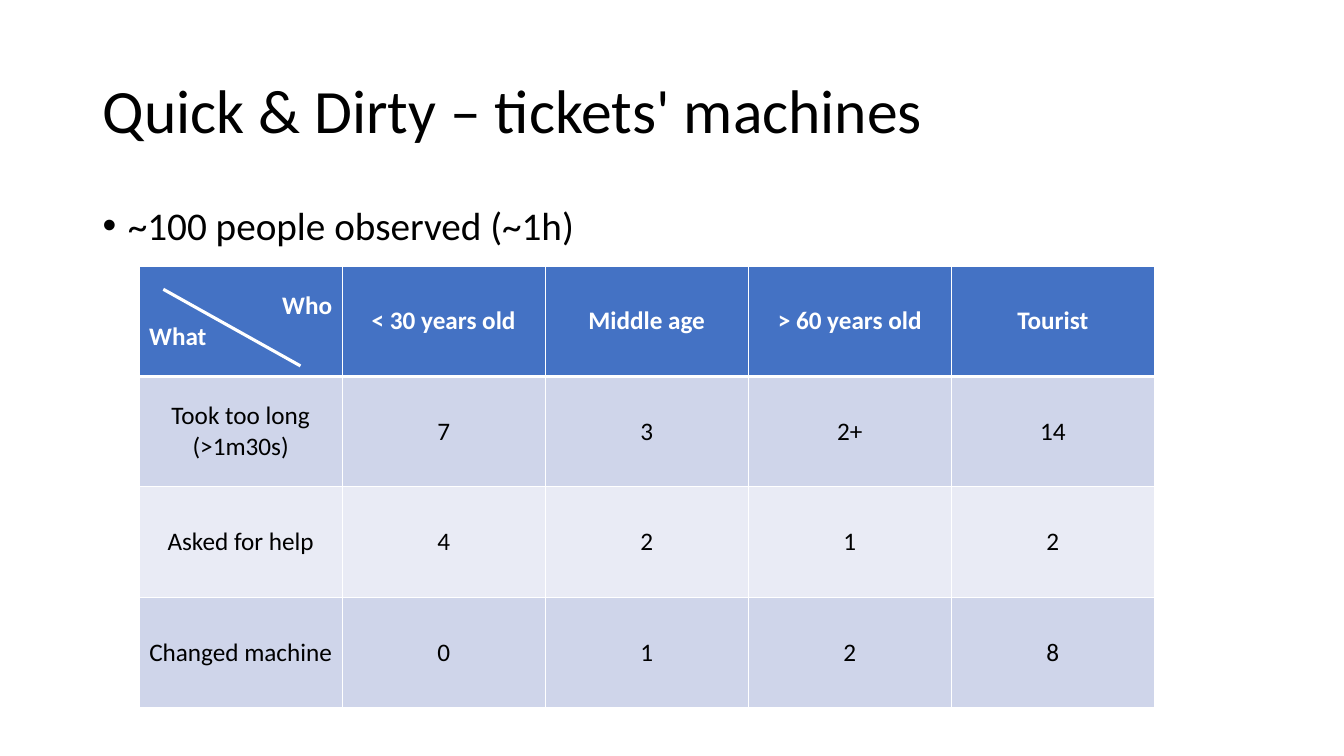
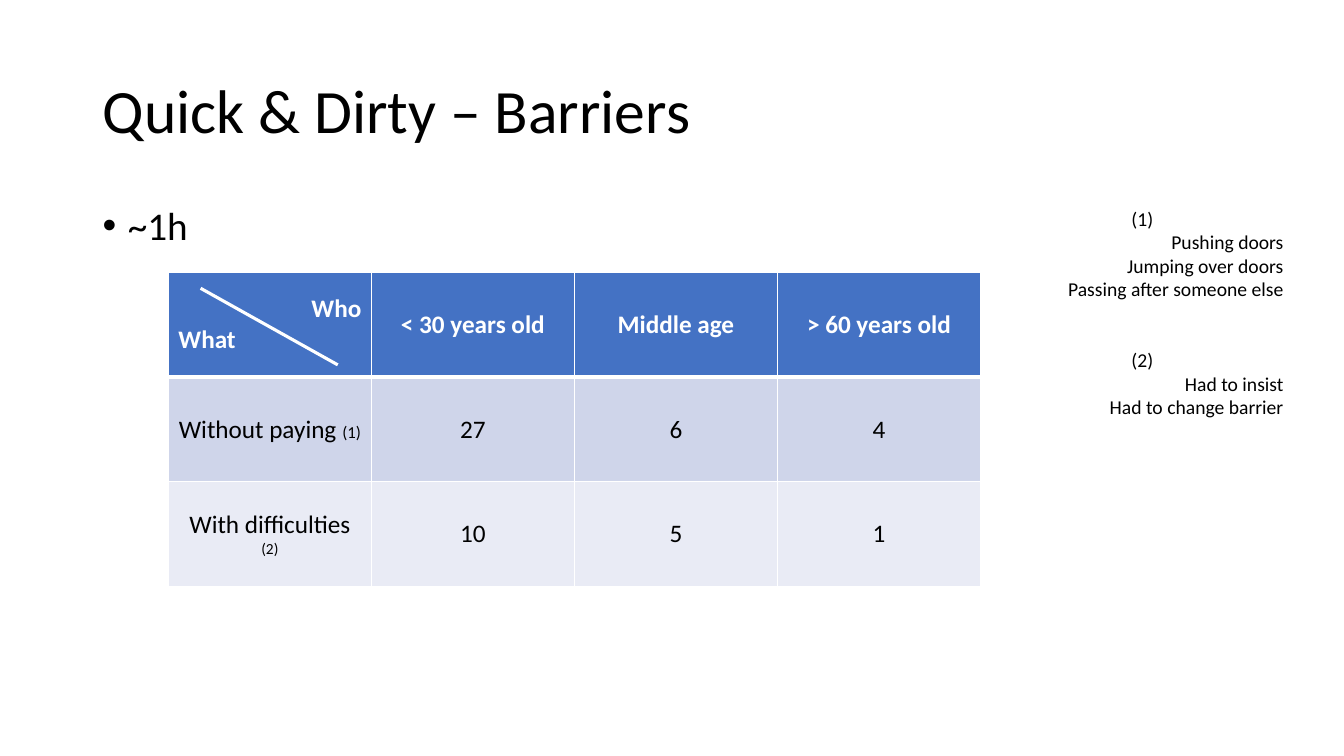
from lxml import etree
from pptx import Presentation
from pptx.dml.color import RGBColor
from pptx.enum.shapes import MSO_CONNECTOR
from pptx.enum.text import MSO_ANCHOR, MSO_AUTO_SIZE, PP_ALIGN
from pptx.oxml.ns import qn
from pptx.util import Inches, Pt

COLORS = {"text": "000000", "line": "FFFFFF", "header": "4472C4", "odd": "CFD5EA", "even": "E9EBF5"}
LEFT, CENTER, RIGHT = PP_ALIGN.LEFT, PP_ALIGN.CENTER, PP_ALIGN.RIGHT
MARGIN, BODY_TOP = Inches(0.92), Inches(2)
COLUMN = Inches(10.07) // 5
AGES = ["< 30 years old", "Middle age", "> 60 years old"]

PAGES = [
    {
        "title": "Quick & Dirty – tickets' machines",
        "bullet": "~100 people observed (~1h)",
        "bullet_width": 11.5,
        "corner": (1.38, 2.64),
        "row_height": 1.095,
        "diagonal": (1.62, 2.87),
        "heads": AGES + ["Tourist"],
        "rows": [
            ["Took too long (>1m30s)", "7", "3", "2+", "14"],
            ["Asked for help", "4", "2", "1", "2"],
            ["Changed machine", "0", "1", "2", "8"],
        ],
        "marks": [],
        "footnotes": [],
    },
    {
        "title": "Quick & Dirty – Barriers",
        "bullet": "~1h",
        "bullet_width": 8.99,
        "corner": (1.67, 2.7),
        "row_height": 1.04,
        "diagonal": (1.99, 2.86),
        "heads": AGES,
        "rows": [
            ["Without paying ", "27", "6", "4"],
            ["With difficulties ", "10", "5", "1"],
        ],
        "marks": [("(1)", 12), ("(2)", 11)],
        "footnotes": [
            ("(1)", ["Pushing doors", "Jumping over doors", "Passing after someone else"]),
            ("(2)", ["Had to insist", "Had to change barrier"]),
        ],
    },
]


def write(frame, lines, size, color="text", bold=False):
    frame.text = "\n".join(text for text, align in lines)
    for para, (text, align) in zip(frame.paragraphs, lines):
        para.alignment = align
        for span in para.runs:
            span.font.name = "Calibri"
            span.font.size = Pt(size)
            span.font.bold = bold
            span.font.color.rgb = RGBColor.from_string(COLORS[color])


def set_borders(cell, widths):
    props = cell._tc.get_or_add_tcPr()
    for side, width in zip("LRTB", widths):
        edge = etree.SubElement(props, qn(f"a:ln{side}"), w=str(Pt(width)))
        solid = etree.SubElement(edge, qn("a:solidFill"))
        etree.SubElement(solid, qn("a:srgbClr"), val=COLORS["line"])


deck = Presentation()
deck.slide_width, deck.slide_height = Inches(13.33), Inches(7.5)

for content in PAGES:
    page = deck.slides.add_slide(deck.slide_layouts[5])

    title = page.shapes.title
    title.left, title.top, title.width, title.height = MARGIN, Inches(0.4), Inches(11.5), Inches(1.45)
    title.text_frame.vertical_anchor = MSO_ANCHOR.MIDDLE
    title.text_frame.auto_size = MSO_AUTO_SIZE.NONE
    write(title.text_frame, [(content["title"], LEFT)], 44)
    title.text_frame.paragraphs[0].line_spacing = 0.9

    body = page.shapes.add_textbox(MARGIN, BODY_TOP, Inches(content["bullet_width"]), Inches(4.76))
    body.text_frame.word_wrap = True
    write(body.text_frame, [(content["bullet"], LEFT)], 28)
    para = body.text_frame.paragraphs[0]
    para.line_spacing = 0.9
    para.space_before = Pt(10)
    props = para._p.get_or_add_pPr()
    props.set("marL", str(Inches(0.25)))
    props.set("indent", str(-Inches(0.25)))
    etree.SubElement(props, qn("a:buFont"), typeface="Arial")
    etree.SubElement(props, qn("a:buChar"), char="•")

    grid = [["Who\nWhat"] + content["heads"]] + content["rows"]
    row_height = Inches(content["row_height"])
    left, top = map(Inches, content["corner"])
    table = page.shapes.add_table(
        len(grid), len(grid[0]), left, top, COLUMN * len(grid[0]), row_height * len(grid)
    ).table
    table.horz_banding = False
    for column in table.columns:
        column.width = COLUMN
    for r, values in enumerate(grid):
        table.rows[r].height = row_height
        fill = "header" if r == 0 else ("even", "odd")[r % 2]
        for c, value in enumerate(values):
            cell = table.cell(r, c)
            cell.vertical_anchor = MSO_ANCHOR.MIDDLE
            set_borders(cell, (1, 1, 3 if r == 1 else 1, 3 if r == 0 else 1))
            cell.fill.solid()
            cell.fill.fore_color.rgb = RGBColor.from_string(COLORS[fill])
            aligns = (RIGHT, LEFT) if r == c == 0 else (CENTER,)
            write(cell.text_frame, list(zip(value.split("\n"), aligns)), 18,
                  "text" if r else "line", r == 0)

    for r, (mark, size) in enumerate(content["marks"], 1):
        span = table.cell(r, 0).text_frame.paragraphs[0].add_run()
        span.text = mark
        span.font.name = "Calibri"
        span.font.size = Pt(size)
        span.font.color.rgb = RGBColor.from_string(COLORS["text"])

    x, y = map(Inches, content["diagonal"])
    diagonal = page.shapes.add_connector(MSO_CONNECTOR.STRAIGHT, x, y, x + Inches(1.36), y + Inches(0.76))
    diagonal.line.color.rgb = RGBColor.from_string(COLORS["line"])
    diagonal.line.width = Pt(2.25)
    etree.SubElement(diagonal._element.spPr, qn("a:effectLst"))

    if content["footnotes"]:
        box = page.shapes.add_textbox(Inches(9.83), BODY_TOP, Inches(3), Inches(2.22))
        box.text_frame.word_wrap = True
        lines = []
        for mark, notes in content["footnotes"]:
            lines += [(mark, CENTER)] + [(note, RIGHT) for note in notes]
        write(box.text_frame, lines, 14)
        for para in box.text_frame.paragraphs[1:]:
            if para.alignment == CENTER:
                para.space_before = Pt(34)

deck.save("out.pptx")
